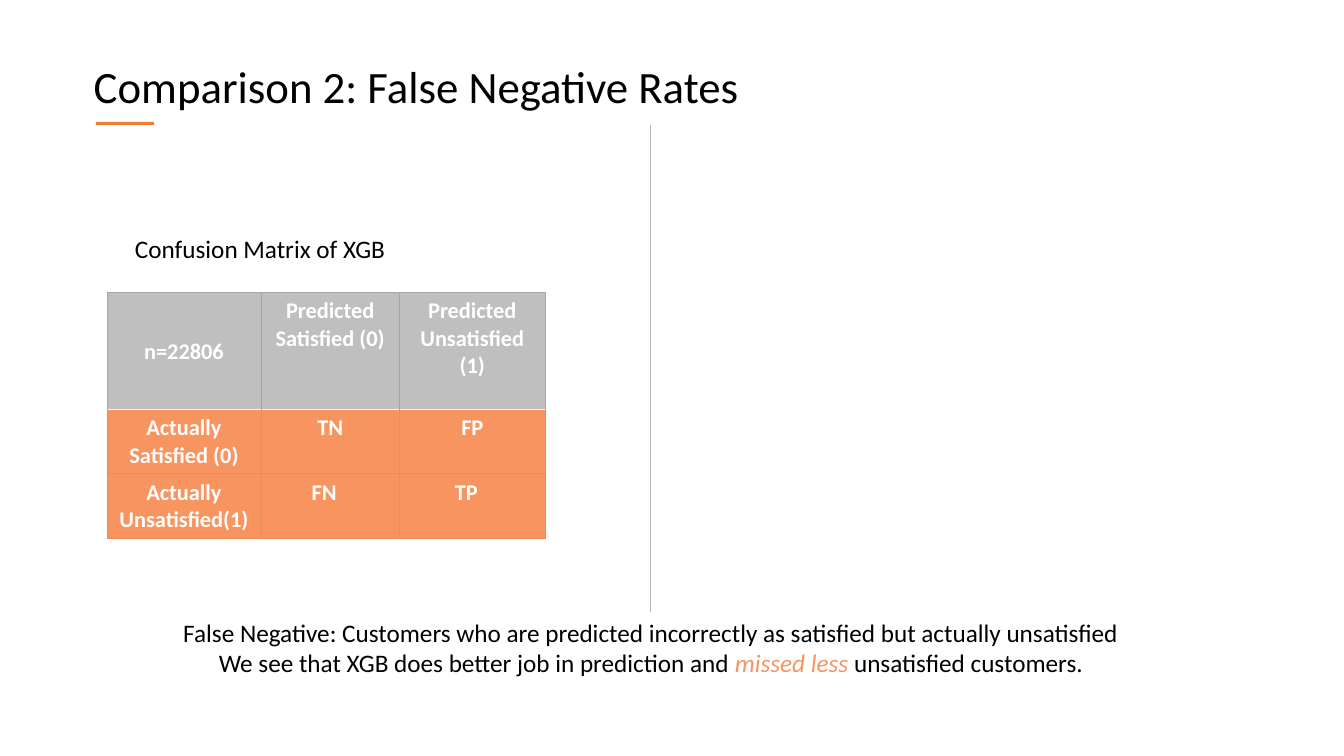
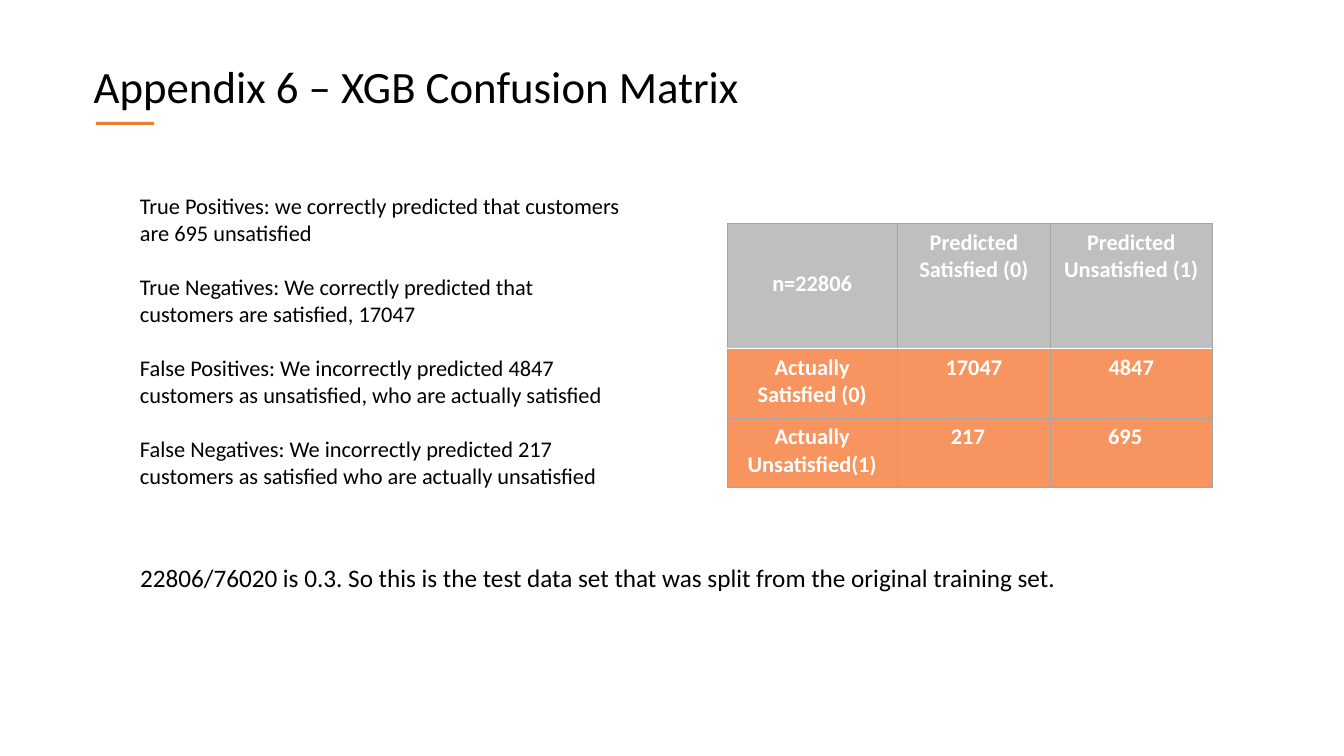
import pptx
import pptx.dml.color
import pptx.enum.shapes
import pptx.enum.text
import pptx.oxml
import pptx.oxml.ns
import pptx.util
from pptx.util import Inches

RGBColor = pptx.dml.color.RGBColor
ALIGN = pptx.enum.text.PP_ALIGN
ANCHOR = pptx.enum.text.MSO_ANCHOR

FONT = "Calibri"
BLACK = RGBColor(0x00, 0x00, 0x00)
WHITE = RGBColor(0xFF, 0xFF, 0xFF)
ACCENT = RGBColor(0xED, 0x7D, 0x31)
ORANGE = RGBColor(0xF7, 0x94, 0x5F)
ORANGE_EDGE = RGBColor(0xF0, 0x8A, 0x52)
HEADER_GREY = RGBColor(0xBF, 0xBF, 0xBF)
BORDER_GREY = RGBColor(0xA5, 0xA5, 0xA5)
DIVIDER_GREY = RGBColor(0xB6, 0xB6, 0xB6)

COLUMN_HEADS = ["n=22806", "Predicted Satisfied (0)", "Predicted Unsatisfied (1)"]
ROW_HEADS = ["Actually Satisfied (0)", "Actually Unsatisfied(1)"]


def set_values(target, values):
    """Set each named attribute of the target."""
    for name, value in values.items():
        setattr(target, name, value)


def add_run(paragraph, text, size, color=BLACK, **styles):
    """Add a formatted run to a paragraph."""
    run = paragraph.add_run()
    run.text = text
    set_values(run.font, {"name": FONT, "size": pptx.util.Pt(size), **styles})
    run.font.color.rgb = color


def add_text(slide, box, paragraphs, size, align=ALIGN.LEFT, gap=0, **frame_values):
    """Add a text box; each paragraph is a list of (text, run styles)."""
    shape = slide.shapes.add_textbox(*map(Inches, box))
    frame = shape.text_frame
    set_values(frame, {"word_wrap": True, **frame_values})
    for index, runs in enumerate(paragraphs):
        paragraph = frame.add_paragraph() if index else frame.paragraphs[0]
        paragraph.alignment = align
        paragraph.space_before = pptx.util.Pt(gap if index else 0)
        for text, styles in runs:
            add_run(paragraph, text, size, **styles)


def add_title(slide, title):
    """Add the title and the short accent bar beneath it."""
    margins = dict.fromkeys(
        ["margin_left", "margin_right", "margin_top", "margin_bottom"], 0)
    add_text(slide, (0.93, 0.58, 6.6, 0.54), [[(title, {})]], 32,
             vertical_anchor=ANCHOR.MIDDLE, **margins)
    bar = slide.shapes.add_shape(
        pptx.enum.shapes.MSO_SHAPE.RECTANGLE,
        Inches(0.95), Inches(1.21), Inches(0.58), Inches(0.03))
    bar.shadow.inherit = False
    bar.fill.solid()
    bar.fill.fore_color.rgb = ACCENT
    bar.line.fill.background()


def add_divider(slide, x, top, bottom):
    """Add a thin vertical line."""
    line = slide.shapes.add_connector(
        pptx.enum.shapes.MSO_CONNECTOR.STRAIGHT,
        Inches(x), Inches(top), Inches(x), Inches(bottom))
    line.line.color.rgb = DIVIDER_GREY
    line.line.width = pptx.util.Pt(0.5)
    properties = line._element.spPr
    properties.append(properties.makeelement(pptx.oxml.ns.qn("a:effectLst"), {}))


def set_border(cell, side, color, width):
    """Draw one border of a cell; side is L, R, T or B."""
    cell._tc.get_or_add_tcPr().append(pptx.oxml.parse_xml(
        f'<a:ln{side} {pptx.oxml.ns.nsdecls("a")} w="{pptx.util.Pt(width)}">'
        f'<a:solidFill><a:srgbClr val="{color}"/></a:solidFill></a:ln{side}>'))


def fill_cell(cell, text, row, column, body_border):
    """Write and colour one cell of a confusion matrix."""
    is_header = row == 0
    border = BORDER_GREY if is_header else body_border
    rule_side = {0: "B", 1: "T"}.get(row)
    for side in "LRTB":
        color, width = (WHITE, 1) if side == rule_side else (border, 0.5)
        set_border(cell, side, color, width)
    cell.fill.solid()
    cell.fill.fore_color.rgb = HEADER_GREY if is_header else ORANGE
    if row == 2 and column:
        cell.margin_right = Inches(0.22)
    paragraph = cell.text_frame.paragraphs[0]
    paragraph.alignment = ALIGN.CENTER
    if is_header and column == 0:
        paragraph.line_spacing = 2.5
    add_run(paragraph, text, 16, WHITE, bold=True)


def add_confusion_matrix(slide, position, widths, heights, values, body_border):
    """Add a confusion matrix with the shared row and column heads."""
    rows = [COLUMN_HEADS] + [[head, *pair] for head, pair in zip(ROW_HEADS, values)]
    frame = slide.shapes.add_table(
        len(rows), len(widths), *map(Inches, position),
        Inches(sum(widths)), Inches(sum(heights)))
    table = frame.table
    set_values(table, {"first_row": False, "horz_banding": False})
    for column, width in zip(table.columns, widths):
        column.width = Inches(width)
    for row, height in zip(table.rows, heights):
        row.height = Inches(height)
    for row, texts in enumerate(rows):
        for column, text in enumerate(texts):
            fill_cell(table.cell(row, column), text, row, column, body_border)


def build_comparison(slide):
    """Build the false negative comparison."""
    add_text(slide, (0.7, 6.07, 11.51, 0.71), [
        [("False Negative: Customers who are predicted incorrectly as satisfied "
          "but actually unsatisfied", {})],
        [("We see that XGB does better job in prediction and ", {}),
         ("missed less ", {"color": ORANGE, "italic": True}),
         ("unsatisfied customers.", {})],
    ], 18, ALIGN.CENTER)
    add_title(slide, "Comparison 2: False Negative Rates")
    add_confusion_matrix(
        slide, (1.06, 2.9), [1.53, 1.37, 1.45], [1.16, 0.64, 0.64],
        [("TN", "FP"), ("FN", "TP")], ORANGE_EDGE)
    add_text(slide, (1.24, 2.27, 3.44, 0.4), [[("Confusion Matrix of XGB", {})]], 18)
    add_divider(slide, 6.45, 1.24, 6.07)


def build_appendix(slide):
    """Build the appendix with the counts and their meaning."""
    add_confusion_matrix(
        slide, (7.21, 2.22), [1.69, 1.52, 1.6], [1.24, 0.69, 0.69],
        [("17047", "4847"), ("217", "695")], BORDER_GREY)
    meanings = [
        "True Positives: we correctly predicted that customers are 695 unsatisfied",
        "True Negatives: We correctly predicted that customers are satisfied, 17047",
        "False Positives: We incorrectly predicted 4847 customers as unsatisfied, "
        "who are actually satisfied",
        "False Negatives: We incorrectly predicted 217 customers as satisfied "
        "who are actually unsatisfied",
    ]
    add_text(slide, (1.29, 1.86, 4.97, 3.33),
             [[(meaning, {})] for meaning in meanings], 16, gap=19.5)
    add_text(slide, (1.29, 5.53, 10.72, 0.4), [[(
        "22806/76020 is 0.3. So this is the test data set that was split "
        "from the original training set.", {})]], 18)
    add_title(slide, "Appendix 6 – XGB Confusion Matrix")


def main():
    """Build and save the presentation."""
    presentation = pptx.Presentation()
    set_values(presentation, {"slide_width": Inches(13.33), "slide_height": Inches(7.5)})
    for build in (build_comparison, build_appendix):
        build(presentation.slides.add_slide(presentation.slide_layouts[6]))
    presentation.save("out.pptx")


main()
